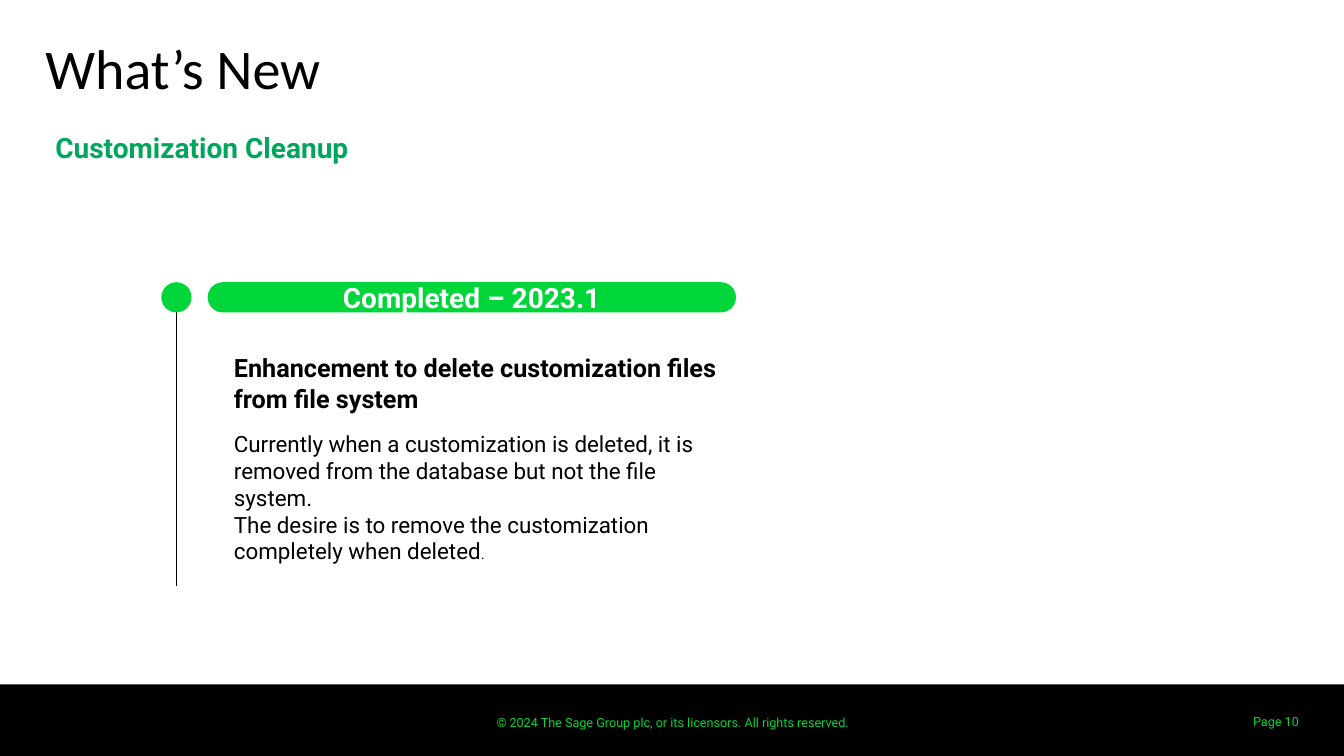
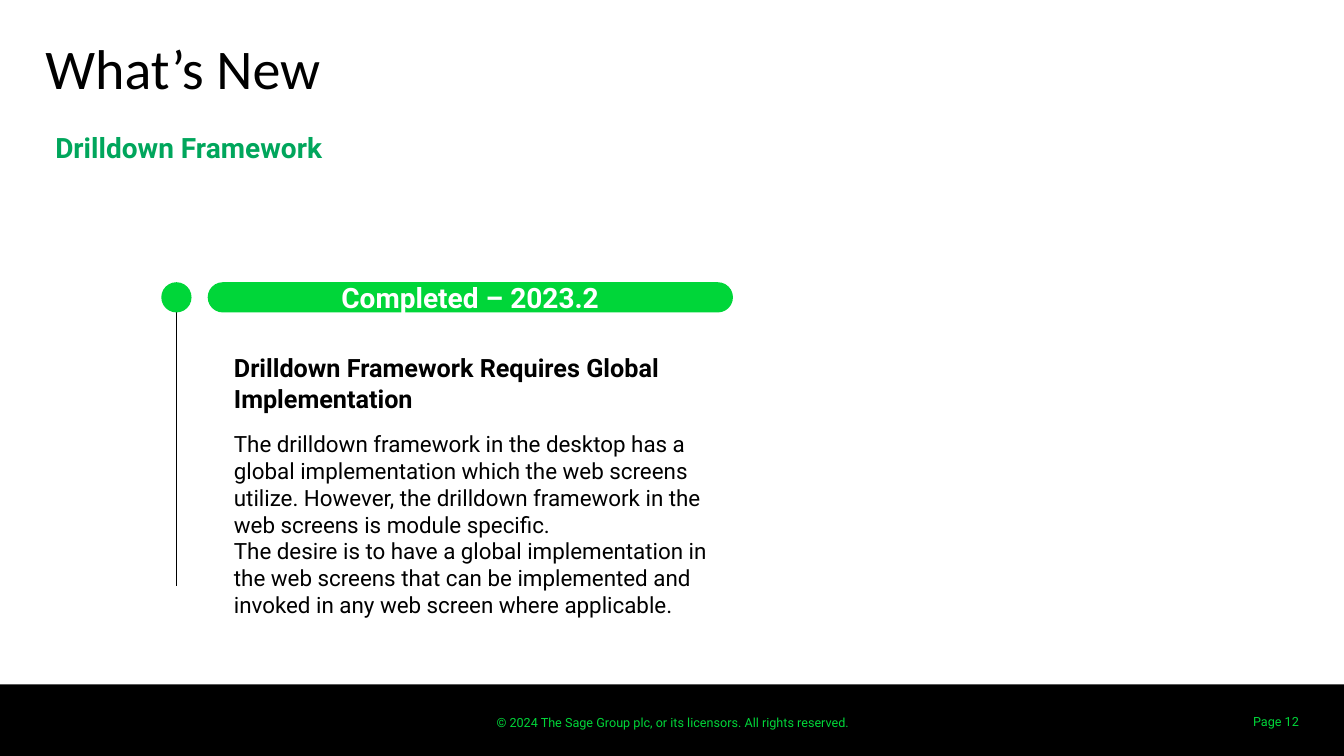
from dataclasses import dataclass

from lxml.etree import SubElement
from pptx import Presentation
from pptx.dml.color import RGBColor
from pptx.enum.shapes import MSO_CONNECTOR, MSO_SHAPE
from pptx.enum.text import MSO_ANCHOR, PP_ALIGN
from pptx.oxml.ns import qn
from pptx.util import Inches, Pt

# Shared colours and fonts
BLACK = RGBColor(0x00, 0x00, 0x00)
WHITE = RGBColor(0xFF, 0xFF, 0xFF)
BRIGHT_GREEN = RGBColor(0x00, 0xD6, 0x39)
DEEP_GREEN = RGBColor(0x00, 0xA6, 0x5C)
TITLE_FONT, BODY_FONT = "Calibri", "Roboto"

# Shared grid, in inches
WIDTH, HEIGHT = 13.33, 7.5
MARGIN = 0.45
CONTENT_WIDTH = WIDTH - 2 * MARGIN
BAND_TOP = 6.79
MARKER_LEFT, MARKER_TOP, MARKER_SIZE = 1.6, 2.8, 0.3
PILL_LEFT = 2.06
DETAIL_LEFT, DETAIL_TOP = 2.32, 3.5
RAIL_BOTTOM = 5.81

TITLE = "What’s New"
COPYRIGHT = "© 2024 The Sage Group plc, or its licensors. All rights reserved."


@dataclass
class Release:
    topic: str
    page: int
    status: str
    heading: str
    details: list
    right: float  # right edge of the pill and the details
    small_end: str = ""  # closing mark set in small type


RELEASES = [
    Release(
        topic="Customization Cleanup",
        page=10,
        status="Completed – 2023.1",
        heading="Enhancement to delete customization files from file system",
        details=[
            "Currently when a customization is deleted, it is removed from "
            "the database but not the file system.",
            "The desire is to remove the customization completely when deleted",
        ],
        right=7.3,
        small_end=".",
    ),
    Release(
        topic="Drilldown Framework",
        page=12,
        status="Completed – 2023.2",
        heading="Drilldown Framework Requires Global Implementation",
        details=[
            "The drilldown framework in the desktop has a global implementation "
            "which the web screens utilize. However, the drilldown framework in "
            "the web screens is module specific.",
            "The desire is to have a global implementation in the web screens "
            "that can be implemented and invoked in any web screen where applicable.",
        ],
        right=7.27,
    ),
]


def inches(*lengths):
    return [Inches(round(length, 2)) for length in lengths]


def style_font(font, size, color, bold=False, name=BODY_FONT):
    font.name, font.size, font.bold = name, Pt(size), bold
    font.color.rgb = color


def write_line(paragraph, text, size, color, bold=False, name=BODY_FONT,
               align=PP_ALIGN.LEFT):
    paragraph.text = text
    paragraph.alignment = align
    for run in paragraph.runs:
        style_font(run.font, size, color, bold, name)


def set_frame(frame, anchor=MSO_ANCHOR.TOP, inset=None):
    frame.word_wrap = True
    frame.vertical_anchor = anchor
    if inset is not None:
        frame.margin_left = frame.margin_right = Inches(inset)
        frame.margin_top = frame.margin_bottom = Inches(inset)


def add_text(slide, left, top, width, height, anchor=MSO_ANCHOR.TOP, inset=None):
    frame = slide.shapes.add_textbox(*inches(left, top, width, height)).text_frame
    set_frame(frame, anchor, inset)
    return frame


def add_block(slide, kind, left, top, width, height, color):
    block = slide.shapes.add_shape(kind, *inches(left, top, width, height))
    block.shadow.inherit = False
    block.fill.solid()
    block.fill.fore_color.rgb = color
    block.line.fill.background()
    return block


def add_footer(slide, page):
    add_block(slide, MSO_SHAPE.RECTANGLE, 0, BAND_TOP, WIDTH, HEIGHT - BAND_TOP, BLACK)
    notice_width = 5
    notice = add_text(slide, (WIDTH - notice_width) / 2, 7.04, notice_width, 0.25)
    write_line(notice.paragraphs[0], COPYRIGHT, 9, BRIGHT_GREEN, align=PP_ALIGN.CENTER)
    number = add_text(slide, 12.07, 6.96, 0.91, 0.4, MSO_ANCHOR.MIDDLE)
    write_line(number.paragraphs[0], f"Page {page}", 9, BRIGHT_GREEN,
               align=PP_ALIGN.RIGHT)


def add_heading(slide, topic):
    title = slide.shapes.title
    title.left, title.top, title.width, title.height = inches(
        MARGIN, 0.33, CONTENT_WIDTH, 0.65)
    set_frame(title.text_frame, inset=0)
    write_line(title.text_frame.paragraphs[0], TITLE, 40, BLACK, name=TITLE_FONT)
    subtitle = add_text(slide, MARGIN, 1.25, CONTENT_WIDTH, 0.48)
    write_line(subtitle.paragraphs[0], topic, 20, DEEP_GREEN, bold=True)


def add_milestone(slide, release):
    # Rail with its round marker
    center = MARKER_LEFT + MARKER_SIZE / 2
    rail = slide.shapes.add_connector(
        MSO_CONNECTOR.STRAIGHT,
        *inches(center, MARKER_TOP + MARKER_SIZE / 2, center, RAIL_BOTTOM))
    rail.line.color.rgb = BLACK
    rail.line.width = Pt(1)
    SubElement(rail.line._ln.getparent(), qn("a:effectLst"))
    add_block(slide, MSO_SHAPE.OVAL, MARKER_LEFT, MARKER_TOP,
              MARKER_SIZE, MARKER_SIZE, BRIGHT_GREEN)

    # Status pill
    pill = add_block(slide, MSO_SHAPE.ROUNDED_RECTANGLE, PILL_LEFT, MARKER_TOP,
                     release.right - PILL_LEFT, MARKER_SIZE, BRIGHT_GREEN)
    pill.adjustments[0] = 0.5
    set_frame(pill.text_frame, MSO_ANCHOR.MIDDLE)
    write_line(pill.text_frame.paragraphs[0], release.status, 20, WHITE,
               bold=True, align=PP_ALIGN.CENTER)


def add_details(slide, release):
    frame = add_text(slide, DETAIL_LEFT, DETAIL_TOP,
                     release.right - DETAIL_LEFT, 2.67, inset=0)
    write_line(frame.paragraphs[0], release.heading, 18, BLACK, bold=True)
    frame.paragraphs[0].space_after = Pt(12)
    for detail in release.details:
        paragraph = frame.add_paragraph()
        write_line(paragraph, detail, 16, BLACK)
    if release.small_end:
        end = paragraph.add_run()
        end.text = release.small_end
        style_font(end.font, 10.5, BLACK)


def main():
    deck = Presentation()
    deck.slide_width, deck.slide_height = inches(WIDTH, HEIGHT)
    title_only = deck.slide_layouts[5]
    for release in RELEASES:
        slide = deck.slides.add_slide(title_only)
        add_footer(slide, release.page)
        add_milestone(slide, release)
        add_details(slide, release)
        add_heading(slide, release.topic)
    deck.save("out.pptx")


if __name__ == "__main__":
    main()
